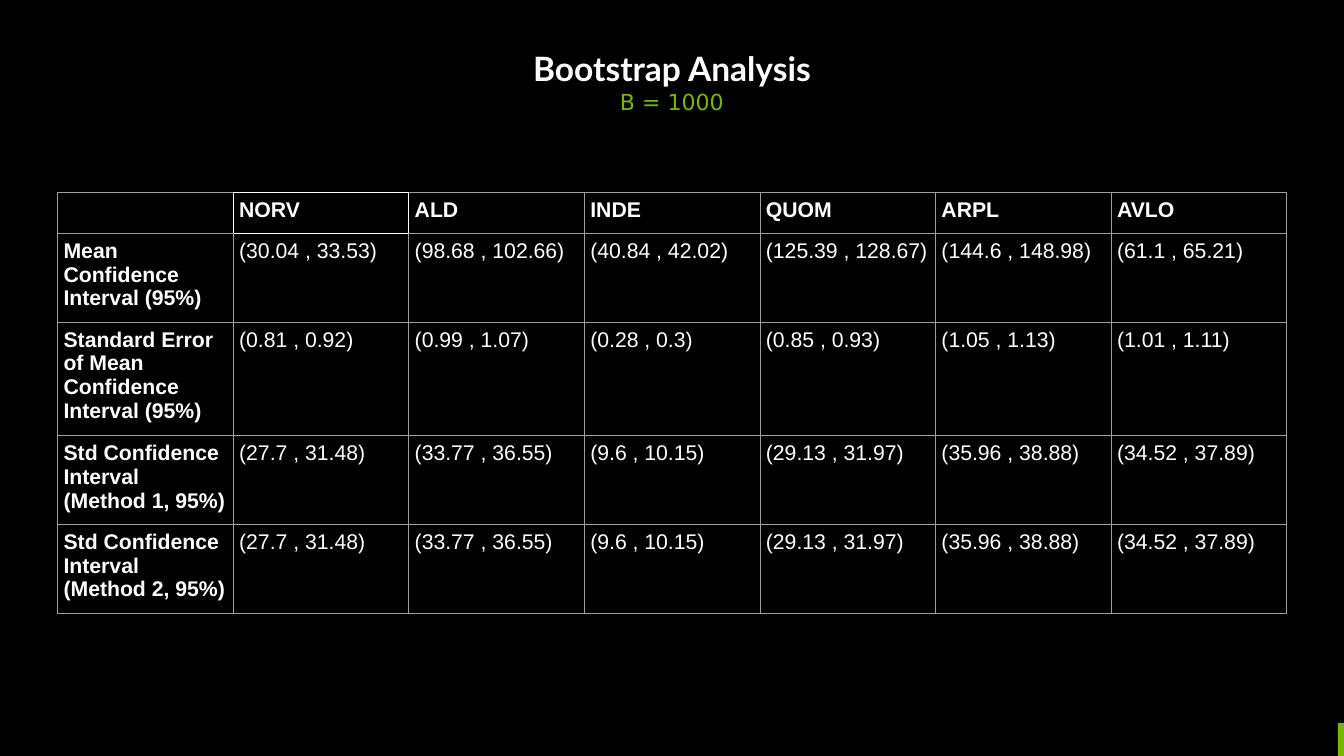
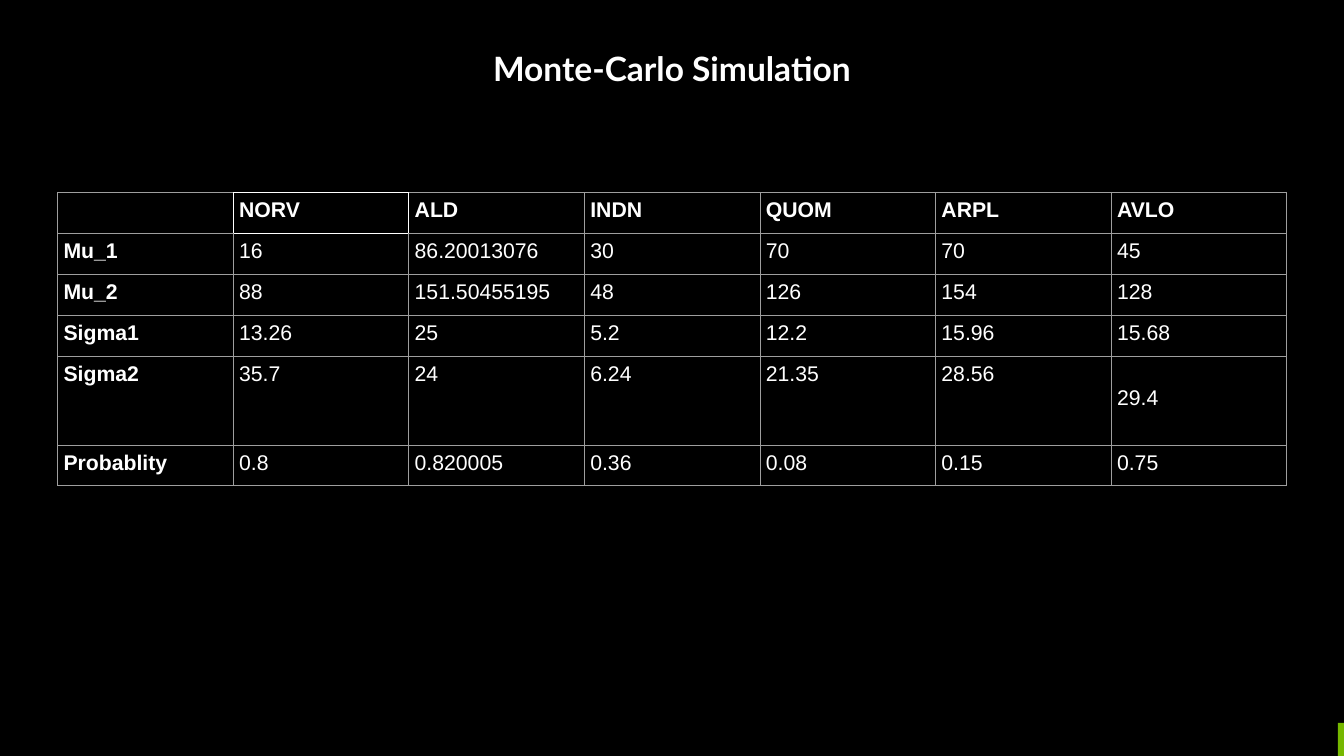
import pptx
import pptx.dml.color
import pptx.enum.shapes
import pptx.enum.text
import pptx.oxml
import pptx.oxml.ns
import pptx.util

Inches = pptx.util.Inches
Pt = pptx.util.Pt

# Shared look
COLORS = {"black": "000000", "white": "FFFFFF", "green": "76B800", "grid": "9E9E9E"}
SLIDE_W, SLIDE_H = 21.99, 12.37
MARGIN = 0.94
TABLE_TOP = 3.15
CELL_INSET = 0.1
BODY_SIZE = 25
LINE_HEIGHT = 0.39
# Row heights by number of text lines
ROW_HEIGHTS = {1: 0.67, 3: 1.45, 4: 1.86}
HIGHLIGHT = (0, 1)

# Content
BOOTSTRAP = [
    ["", "NORV", "ALD", "INDE", "QUOM", "ARPL", "AVLO"],
    ["Mean Confidence Interval (95%)", "(30.04 , 33.53)", "(98.68 , 102.66)",
     "(40.84 , 42.02)", "(125.39 , 128.67)", "(144.6 , 148.98)", "(61.1 , 65.21)"],
    ["Standard Error of Mean Confidence Interval (95%)", "(0.81 , 0.92)", "(0.99 , 1.07)",
     "(0.28 , 0.3)", "(0.85 , 0.93)", "(1.05 , 1.13)", "(1.01 , 1.11)"],
] + [
    [f"Std Confidence Interval (Method {method}, 95%)", "(27.7 , 31.48)", "(33.77 , 36.55)",
     "(9.6 , 10.15)", "(29.13 , 31.97)", "(35.96 , 38.88)", "(34.52 , 37.89)"]
    for method in (1, 2)
]
MONTE_CARLO = [
    ["", "NORV", "ALD", "INDN", "QUOM", "ARPL", "AVLO"],
    ["Mu_1", "16", "86.20013076", "30", "70", "70", "45"],
    ["Mu_2", "88", "151.50455195", "48", "126", "154", "128"],
    ["Sigma1", "13.26", "25", "5.2", "12.2", "15.96", "15.68"],
    ["Sigma2", "35.7", "24", "6.24", "21.35", "28.56", "29.4"],
    ["Probablity", "0.8", "0.820005", "0.36", "0.08", "0.15", "0.75"],
]


def rgb(name):
    return pptx.dml.color.RGBColor.from_string(COLORS[name])


def style_runs(paragraph, font, size, color, bold):
    for run in paragraph.runs:
        run.font.name = font
        run.font.size = Pt(size)
        run.font.color.rgb = rgb(color)
        run.font.bold = bold


def add_titled_slide(prs, title, subtitle=None):
    slide = prs.slides.add_slide(prs.slide_layouts[5])
    heading = slide.shapes.title
    heading.left, heading.top = Inches(1.92), Inches(0.77)
    heading.width, heading.height = Inches(SLIDE_W - 2 * 1.92), Inches(1.13)
    frame = heading.text_frame
    frame.text = title
    frame.word_wrap = True
    frame.auto_size = pptx.enum.text.MSO_AUTO_SIZE.NONE
    frame.vertical_anchor = pptx.enum.text.MSO_ANCHOR.TOP
    frame.margin_left = frame.margin_right = frame.margin_bottom = 0
    frame.margin_top = Inches(0.01)
    style_runs(frame.paragraphs[0], "Lato", 39.5, "white", True)
    if subtitle:
        line = frame.add_paragraph()
        line.text = subtitle
        line.space_before = Pt(0.8)
        style_runs(line, "DejaVu Sans", 26, "green", False)
    for paragraph in frame.paragraphs:
        paragraph.alignment = pptx.enum.text.PP_ALIGN.CENTER
    add_corner_accent(slide)
    return slide


def add_corner_accent(slide):
    width, height = 0.1, 0.54
    accent = slide.shapes.add_shape(
        pptx.enum.shapes.MSO_SHAPE.RECTANGLE, Inches(SLIDE_W - width),
        Inches(SLIDE_H - height), Inches(width), Inches(height))
    accent.shadow.inherit = False
    accent.fill.solid()
    accent.fill.fore_color.rgb = rgb("green")
    accent.line.fill.background()


def set_borders(cell, row, col):
    """Draw all four sides; those touching the highlighted cell are white."""
    neighbours = {"L": (row, col - 1), "R": (row, col + 1),
                  "T": (row - 1, col), "B": (row + 1, col)}
    properties = cell._tc.get_or_add_tcPr()
    for index, (side, neighbour) in enumerate(neighbours.items()):
        color = COLORS["white" if HIGHLIGHT in ((row, col), neighbour) else "grid"]
        properties.insert(index, pptx.oxml.parse_xml(
            f'<a:ln{side} {pptx.oxml.ns.nsdecls("a")} w="{Pt(0.75)}">'
            f'<a:solidFill><a:srgbClr val="{color}"/></a:solidFill></a:ln{side}>'))


def fill_cell(cell, text, row, col):
    cell.fill.background()
    cell.margin_left = cell.margin_right = Inches(CELL_INSET)
    cell.margin_top = cell.margin_bottom = Inches(CELL_INSET)
    cell.text_frame.text = text
    style_runs(cell.text_frame.paragraphs[0], "Arial", BODY_SIZE, "white", row == 0 or col == 0)
    set_borders(cell, row, col)


def add_results_table(slide, rows, line_counts):
    heights = [Inches(ROW_HEIGHTS[count]) for count in line_counts]
    columns = len(rows[0])
    table_width = Inches(SLIDE_W - 2 * MARGIN)
    table = slide.shapes.add_table(
        len(rows), columns, Inches(MARGIN), Inches(TABLE_TOP), table_width, sum(heights)).table
    table.first_row = table.horz_banding = False
    for column in table.columns:
        column.width = table_width // columns
    for row, (values, height) in enumerate(zip(rows, heights)):
        table.rows[row].height = height
        for col, text in enumerate(values):
            fill_cell(table.cell(row, col), text, row, col)
    return table


def main():
    prs = pptx.Presentation()
    prs.slide_width, prs.slide_height = Inches(SLIDE_W), Inches(SLIDE_H)
    backdrop = prs.slide_master.background.fill
    backdrop.solid()
    backdrop.fore_color.rgb = rgb("black")

    # Bootstrap intervals
    bootstrap = add_titled_slide(prs, "Bootstrap Analysis", "B = 1000")
    add_results_table(bootstrap, BOOTSTRAP, [1, 3, 4, 3, 3])

    # Simulation parameters; the last Sigma2 value sits one line lower
    simulation = add_titled_slide(prs, "Monte-Carlo Simulation")
    parameters = add_results_table(simulation, MONTE_CARLO, [1, 1, 1, 1, 3, 1])
    parameters.cell(4, 6).margin_top = Inches(CELL_INSET + LINE_HEIGHT)

    prs.save("out.pptx")


if __name__ == "__main__":
    main()
